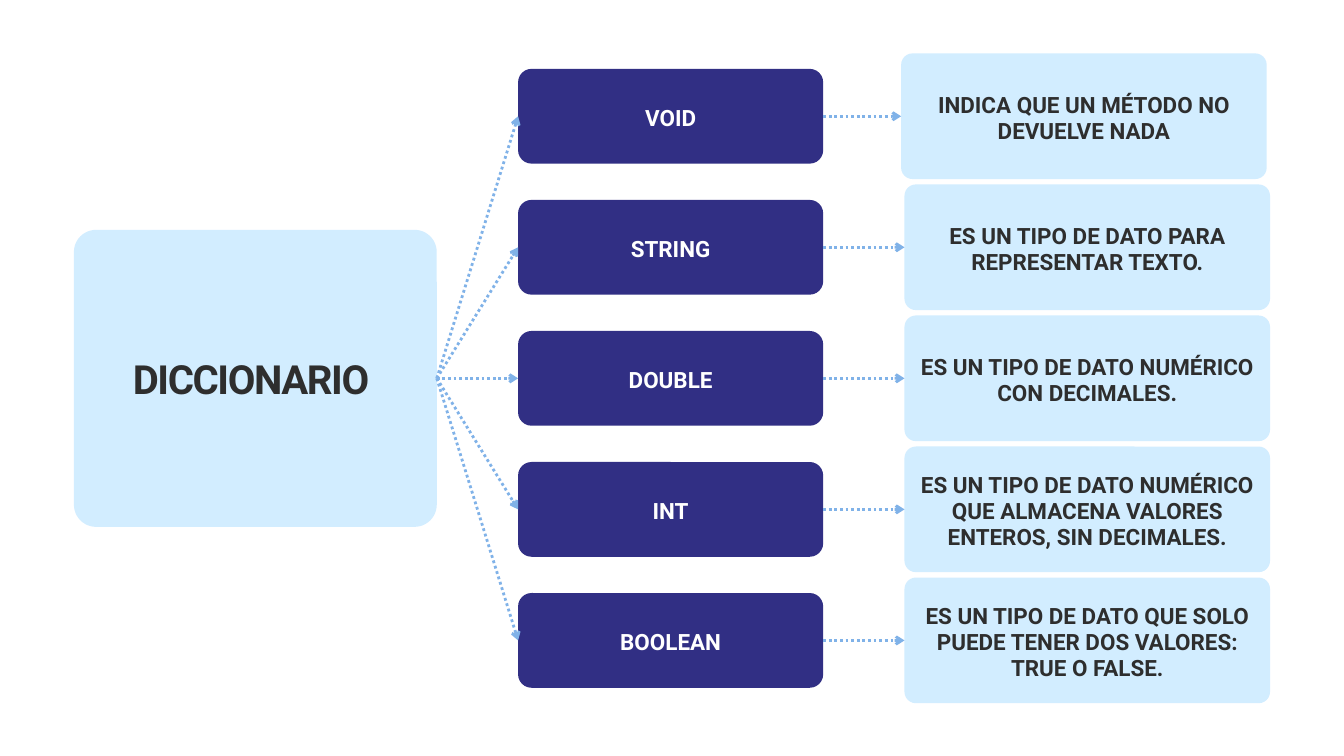
import pptx
import pptx.util
import pptx.dml.color
import pptx.enum.dml
import pptx.enum.shapes
import pptx.enum.text
import pptx.oxml.ns
import pptx.oxml.xmlchemy

Inches = pptx.util.Inches
Pt = pptx.util.Pt
RGBColor = pptx.dml.color.RGBColor
qn = pptx.oxml.ns.qn

NAVY = RGBColor(0x31, 0x2F, 0x84)
PALE = RGBColor(0xD2, 0xED, 0xFF)
BLUE = RGBColor(0x80, 0xB2, 0xE8)
DARK = RGBColor(0x2E, 0x2E, 0x2E)
WHITE = RGBColor(0xFF, 0xFF, 0xFF)
FONT = "Roboto"

MIDDLE = 5.63
PITCH = 1.95
ROOT_LEFT, ROOT_WIDTH, ROOT_HEIGHT = 1.1, 5.4, 4.42
TERM_LEFT, TERM_WIDTH, TERM_HEIGHT = 7.71, 4.54, 1.41
CARD_WIDTH, CARD_HEIGHT = 5.44, 1.87

# Term, its meaning, left edge of the meaning card
ROWS = [
    ("VOID", "INDICA QUE UN MÉTODO NO DEVUELVE NADA", 13.41),
    ("STRING", "ES UN TIPO DE DATO PARA REPRESENTAR TEXTO.", 13.46),
    ("DOUBLE", "ES UN TIPO DE DATO NUMÉRICO CON DECIMALES.", 13.46),
    ("INT", "ES UN TIPO DE DATO NUMÉRICO QUE ALMACENA VALORES ENTEROS, "
     "SIN DECIMALES.", 13.46),
    ("BOOLEAN", "ES UN TIPO DE DATO QUE SOLO PUEDE TENER DOS VALORES: "
     "TRUE O FALSE.", 13.46),
]


def write(shape, text, color=DARK, size=24, lead=27.8, track=0, top=0.04):
    """Fill a shape with one centred bold paragraph; track is in points."""
    frame = shape.text_frame
    frame.word_wrap = True
    frame.auto_size = pptx.enum.text.MSO_AUTO_SIZE.NONE
    frame.vertical_anchor = pptx.enum.text.MSO_ANCHOR.MIDDLE
    frame.margin_left = frame.margin_right = frame.margin_bottom = 0
    frame.margin_top = Inches(top)
    para = frame.paragraphs[0]
    para.alignment = pptx.enum.text.PP_ALIGN.CENTER
    para.line_spacing = Pt(lead)
    run = para.add_run()
    run.text = text
    run.font.name = FONT
    run.font.size = Pt(size)
    run.font.bold = True
    run.font.color.rgb = color
    if track:
        run.font._element.set("spc", str(round(track * 100)))


class Board:
    def __init__(self, slide):
        self.slide = slide

    def box(self, left, mid, width, height, fill, radius):
        """Add a rounded box centred vertically on mid."""
        kind = pptx.enum.shapes.MSO_SHAPE.ROUNDED_RECTANGLE
        shape = self.slide.shapes.add_shape(
            kind, Inches(left), Inches(mid - height / 2),
            Inches(width), Inches(height))
        shape.adjustments[0] = radius / min(width, height)
        shape.fill.solid()
        shape.fill.fore_color.rgb = fill
        shape.line.fill.background()
        shape.shadow.inherit = False
        return shape

    def arrow(self, start, end):
        link = self.slide.shapes.add_connector(
            pptx.enum.shapes.MSO_CONNECTOR.STRAIGHT,
            *(Inches(value) for value in start + end))
        link.line.color.rgb = BLUE
        link.line.width = Pt(3)
        link.line.dash_style = pptx.enum.dml.MSO_LINE.ROUND_DOT
        props = link._element.spPr
        tail = pptx.oxml.xmlchemy.OxmlElement("a:tailEnd")
        tail.set("type", "arrow")
        props.find(qn("a:ln")).append(tail)
        props.append(pptx.oxml.xmlchemy.OxmlElement("a:effectLst"))

    def title(self, text, left, top, width, height):
        shape = self.slide.shapes.title
        shape.left, shape.top = Inches(left), Inches(top)
        shape.width, shape.height = Inches(width), Inches(height)
        write(shape, text, size=43, lead=53.3, track=-1.5, top=0)
        # Bring the title in front of the boxes
        self.slide.shapes.element.append(shape.element)


def main():
    deck = pptx.Presentation()
    deck.slide_width, deck.slide_height = Inches(20), Inches(11.25)
    board = Board(deck.slides.add_slide(deck.slide_layouts[5]))

    board.box(ROOT_LEFT, MIDDLE, ROOT_WIDTH, ROOT_HEIGHT, PALE, 0.33)
    board.title("DICCIONARIO", 1.34, 5.24, 4.79, 0.75)

    root = (ROOT_LEFT + ROOT_WIDTH, MIDDLE)
    for row, (term, meaning, left) in enumerate(ROWS):
        mid = MIDDLE + (row - len(ROWS) // 2) * PITCH
        name = board.box(TERM_LEFT, mid, TERM_WIDTH, TERM_HEIGHT, NAVY, 0.2)
        write(name, term, color=WHITE)
        card = board.box(left, mid, CARD_WIDTH, CARD_HEIGHT, PALE, 0.17)
        write(card, meaning)
        board.arrow(root, (TERM_LEFT, mid))
        board.arrow((TERM_LEFT + TERM_WIDTH, mid), (left, mid))

    deck.save("out.pptx")


if __name__ == "__main__":
    main()
